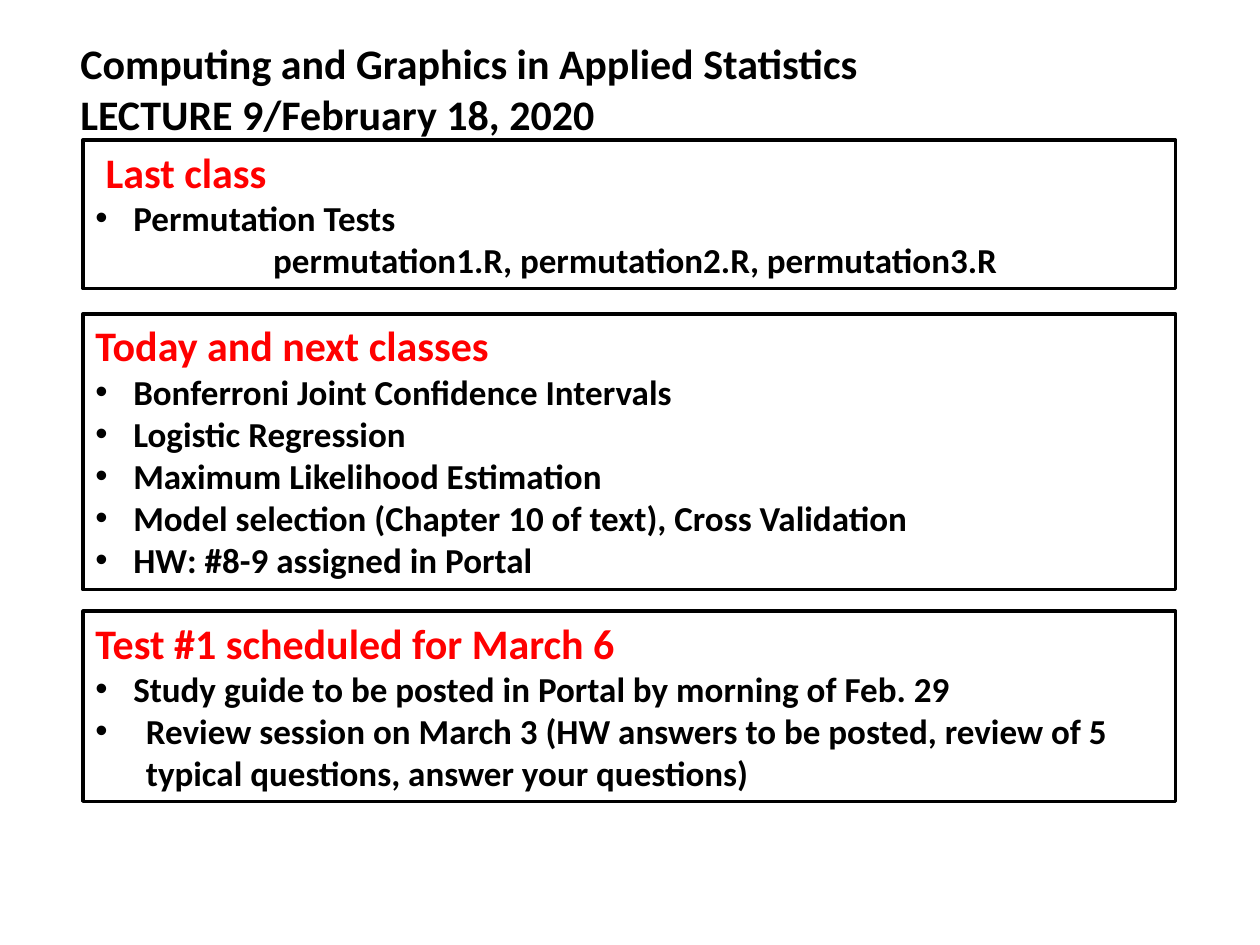
"""Build the lecture agenda slide with a title and three outlined panels."""
from dataclasses import dataclass

from lxml import etree
from pptx import Presentation, util as u
from pptx.dml.color import RGBColor
from pptx.enum import shapes, text
from pptx.oxml import ns


@dataclass(frozen=True)
class Theme:
    font: str = "Calibri"
    ink: str = "000000"
    accent: str = "FF0000"
    paper: str = "FFFFFF"
    heading_size: int = 24
    body_size: int = 20
    border: int = 2


@dataclass(frozen=True)
class Style:
    level: int = 0
    margin: float = 0
    hanging: float = 0
    size: int = Theme.heading_size
    color: str = Theme.accent


BODY = {"size": Theme.body_size, "color": Theme.ink}
STYLES = {
    "title": Style(color=Theme.ink),
    "heading": Style(),
    "inset heading": Style(margin=0.08),
    "bullet": Style(1, 0.3, 0.3, **BODY),
    "wide bullet": Style(1, 0.4, 0.4, **BODY),
    "files": Style(2, 1.41, **BODY),
}

TITLE = [
    ("title", "Computing and Graphics in Applied Statistics"),
    ("title", "LECTURE 9/February 18, 2020"),
]
PANELS = [
    (1.11, 1.18, [
        ("inset heading", "Last class"),
        ("bullet", "Permutation Tests"),
        ("files", "permutation1.R, permutation2.R, permutation3.R"),
    ]),
    (2.49, 2.19, [
        ("heading", "Today and next classes"),
        ("bullet", "Bonferroni Joint Confidence Intervals"),
        ("bullet", "Logistic Regression"),
        ("bullet", "Maximum Likelihood Estimation"),
        ("bullet", "Model selection (Chapter 10 of text), Cross Validation"),
        ("bullet", "HW: #8-9 assigned in Portal"),
    ]),
    (4.85, 1.51, [
        ("heading", "Test #1 scheduled for March 6"),
        ("bullet", "Study guide to be posted in Portal by morning of Feb. 29"),
        ("wide bullet", "Review session on March 3 (HW answers to be posted, "
                        "review of 5 typical questions, answer your questions)"),
    ]),
]

WIDTH, HEIGHT = 10, 7.5
PANEL_LEFT, PANEL_WIDTH = 0.066 * WIDTH, 0.867 * WIDTH
TITLE_BOX = (0.054 * WIDTH, 0.25, 0.8 * WIDTH, 1.31)


def format_paragraph(paragraph, style):
    paragraph.level = style.level
    paragraph.alignment = text.PP_ALIGN.LEFT
    properties = paragraph._p.get_or_add_pPr()
    properties.set("marL", str(u.Inches(style.margin)))
    properties.set("indent", str(-u.Inches(style.hanging)))
    if style.hanging:
        etree.SubElement(properties, ns.qn("a:buFont"), typeface="Arial")
        etree.SubElement(properties, ns.qn("a:buChar"), char="•")
    for run in paragraph.runs:
        run.font.name = Theme.font
        run.font.size = u.Pt(style.size)
        run.font.bold = True
        run.font.color.rgb = RGBColor.from_string(style.color)


def write_lines(shape, lines):
    frame = shape.text_frame
    frame.text = "\n".join(wording for _, wording in lines)
    frame.word_wrap = True
    frame.vertical_anchor = text.MSO_ANCHOR.TOP
    for paragraph, (style, _) in zip(frame.paragraphs, lines):
        format_paragraph(paragraph, STYLES[style])


def add_panel(slide, top, height, lines):
    box = map(u.Inches, (PANEL_LEFT, top, PANEL_WIDTH, height))
    panel = slide.shapes.add_shape(shapes.MSO_SHAPE.RECTANGLE, *box)
    panel.shadow.inherit = False
    panel.fill.solid()
    panel.fill.fore_color.rgb = RGBColor.from_string(Theme.paper)
    panel.line.color.rgb = RGBColor.from_string(Theme.ink)
    panel.line.width = u.Pt(Theme.border)
    write_lines(panel, lines)


def main():
    presentation = Presentation()
    presentation.slide_width = u.Inches(WIDTH)
    presentation.slide_height = u.Inches(HEIGHT)
    slide = presentation.slides.add_slide(presentation.slide_layouts[6])
    write_lines(slide.shapes.add_textbox(*map(u.Inches, TITLE_BOX)), TITLE)
    for panel in PANELS:
        add_panel(slide, *panel)
    presentation.save("out.pptx")


if __name__ == "__main__":
    main()
